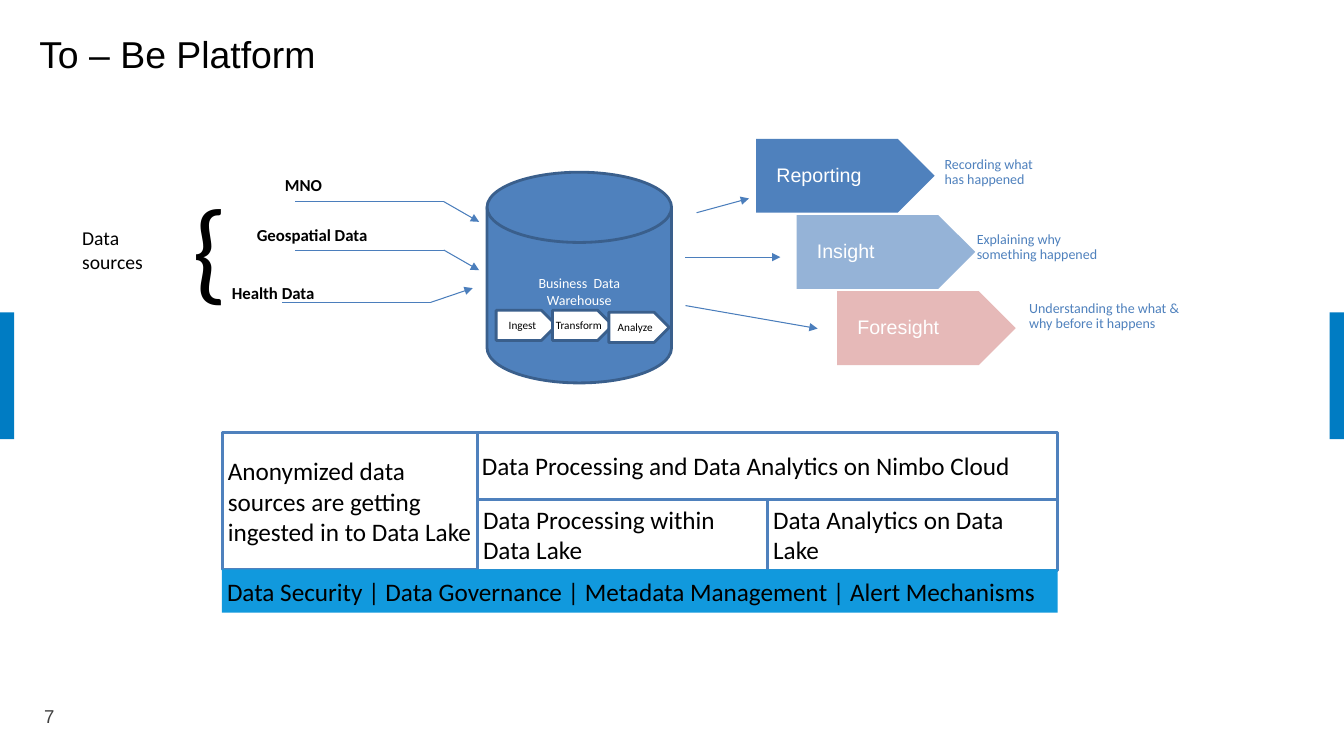
from dataclasses import dataclass

from lxml import etree
from pptx import Presentation
from pptx.dml.color import RGBColor
from pptx.enum.shapes import MSO_CONNECTOR, MSO_SHAPE
from pptx.enum.text import MSO_ANCHOR, PP_ALIGN
from pptx.oxml.ns import qn
from pptx.util import Cm, Pt

PENTAGON = MSO_SHAPE.PENTAGON
CYLINDER = MSO_SHAPE.FLOWCHART_MAGNETIC_DISK
RECTANGLE = MSO_SHAPE.RECTANGLE
STRAIGHT = MSO_CONNECTOR.STRAIGHT
TOP, MIDDLE, BOTTOM = MSO_ANCHOR.TOP, MSO_ANCHOR.MIDDLE, MSO_ANCHOR.BOTTOM
LEFT, CENTER = PP_ALIGN.LEFT, PP_ALIGN.CENTER


@dataclass(frozen=True)
class Theme:
    heading_font: str = "Arial"
    body_font: str = "Calibri"
    black: str = "000000"
    white: str = "FFFFFF"
    grey: str = "404040"
    blue: str = "4F81BD"
    light_blue: str = "95B3D7"
    pink: str = "E6B9B8"
    outline: str = "3A5F8C"
    arrow: str = "4B7EBC"
    side_bar: str = "007CC3"
    security: str = "1199DD"
    title_size: float = 26.7
    number_size: float = 13.3
    brace_size: float = 80
    tile_size: float = 18
    output_size: float = 14
    source_size: float = 12
    note_size: float = 10
    step_size: float = 8
    thick: float = 2
    thin: float = 0.75


THEME = Theme()
TILE_INSETS = (0.13,) * 4
OUTPUT_INSETS = (0.51, 0.41, 0.51, 0.41)

# label, label box, start of the flat line, tip of the arrow
SOURCES = [
    ("MNO", (6.93, 4.27, 2.18, 0.91), (7.44, 5.08), (12.07, 5.59)),
    ("Geospatial Data", (6.22, 5.54, 4.52, 0.91), (7.44, 6.3), (12.07, 6.81)),
    ("Health Data", (5.59, 6.99, 4.78, 0.91), (7.11, 7.62), (11.91, 7.26)),
]
FLAT_LENGTH = 3.74

# label, fill, note, note box, start and tip of the arrow
OUTPUTS = [
    ("Reporting", THEME.blue, "Recording what\vhas happened",
     (23.55, 3.84, 4.4, 1.22), (17.55, 5.36), (18.87, 5)),
    ("Insight", THEME.light_blue, "Explaining why\vsomething happened",
     (24.36, 5.74, 4.93, 1.22), (17.27, 6.48), (19.66, 6.48)),
    ("Foresight", THEME.pink, "Understanding the what & why before it happens",
     (25.68, 7.47, 4.4, 1.68), (17.27, 7.7), (20.6, 8.28)),
]

STEPS = [("Ingest", 7.82), ("Transform", 7.82), ("Analyze", 7.87)]

TILES = [
    ("Data Processing within Data Lake", (12.04, 12.57, 7.29, 1.8), TOP),
    ("Data Analytics on Data Lake", (19.35, 12.57, 7.29, 1.8), TOP),
    ("Data Processing and Data Analytics on Nimbo Cloud",
     (12.01, 10.9, 14.63, 1.68), MIDDLE),
    ("Anonymized data sources are getting ingested in to Data Lake",
     (5.61, 10.9, 6.43, 3.45), MIDDLE),
]


def rgb(color):
    return RGBColor.from_string(color)


def write(shape, text, size, color=THEME.black, font=THEME.body_font, bold=False,
          align=LEFT, anchor=TOP, spacing=None, insets=None, wrap=True):
    """Fill a shape with text; insets are left, top, right, bottom in cm."""
    frame = shape.text_frame
    frame.text = text
    frame.word_wrap = wrap
    frame.vertical_anchor = anchor
    if insets:
        (frame.margin_left, frame.margin_top,
         frame.margin_right, frame.margin_bottom) = map(Cm, insets)
    for paragraph in frame.paragraphs:
        paragraph.alignment = align
        paragraph.line_spacing = spacing
        for run in paragraph.runs:
            run.font.name = font
            run.font.size = Pt(size)
            run.font.bold = bold
            run.font.color.rgb = rgb(color)


def add_label(slide, box, text, size, **style):
    write(slide.shapes.add_textbox(*map(Cm, box)), text, size, **style)


def add_block(slide, kind, box, fill, line=None):
    block = slide.shapes.add_shape(kind, *map(Cm, box))
    block.shadow.inherit = False
    block.fill.solid()
    block.fill.fore_color.rgb = rgb(fill)
    if line:
        block.line.color.rgb = rgb(line)
        block.line.width = Pt(THEME.thick)
    else:
        block.line.fill.background()
    return block


def add_line(slide, start, end, arrow=False):
    line = slide.shapes.add_connector(STRAIGHT, *map(Cm, (*start, *end)))
    line.line.color.rgb = rgb(THEME.arrow)
    line.line.width = Pt(THEME.thin)
    properties = line._element.spPr
    if arrow:
        etree.SubElement(properties.find(qn("a:ln")), qn("a:tailEnd"), type="triangle")
    etree.SubElement(properties, qn("a:effectLst"))


def add_frame(slide):
    """Side bars, title and slide number."""
    for left in (0, 33.5):
        add_block(slide, RECTANGLE, (left, 7.87, 0.36, 3.2), THEME.side_bar)
    add_label(slide, (0.74, 0.65, 32.31, 1.68), "To – Be Platform",
              THEME.title_size, font=THEME.heading_font)
    add_label(slide, (0.86, 17.65, 1.73, 1.04), "7", THEME.number_size,
              font=THEME.heading_font, color=THEME.grey)


def add_sources(slide):
    add_label(slide, (1.82, 5.58, 3.02, 1.12), "Data sources", THEME.output_size)
    add_label(slide, (4.6, 4.37, 1.02, 4.37), "{", THEME.brace_size)
    for name, box, start, tip in SOURCES:
        bend = (start[0] + FLAT_LENGTH, start[1])
        add_line(slide, start, bend)
        add_line(slide, bend, tip, arrow=True)
        add_label(slide, box, name, THEME.source_size, bold=True)


def add_warehouse(slide):
    warehouse = add_block(slide, CYLINDER, (12.27, 4.34, 4.65, 5.31),
                          THEME.blue, THEME.outline)
    write(warehouse, "Business  Data\vWarehouse", THEME.note_size, color=THEME.white,
          align=CENTER, anchor=BOTTOM, insets=(0.25, 0.13, 0.25, 0.99))
    for index, (name, top) in enumerate(STEPS):
        step = add_block(slide, PENTAGON, (12.5 + 1.42 * index, top, 1.52, 0.76),
                         THEME.white, THEME.outline)
        write(step, name, THEME.step_size, align=CENTER, anchor=MIDDLE, wrap=False)


def add_outputs(slide):
    for index, (name, fill, note, note_box, start, tip) in enumerate(OUTPUTS):
        box = (19.05 + 1.02 * index, 3.5 + 1.92 * index, 4.5, 1.86)
        write(add_block(slide, PENTAGON, box, fill), name, THEME.output_size,
              color=THEME.white, font=THEME.heading_font, anchor=MIDDLE,
              spacing=0.9, insets=OUTPUT_INSETS)
        add_label(slide, note_box, note, THEME.note_size, color=THEME.blue, spacing=0.9)
        add_line(slide, start, tip, arrow=True)


def add_tiles(slide):
    for text, box, anchor in TILES:
        tile = add_block(slide, RECTANGLE, box, THEME.white, THEME.blue)
        write(tile, text, THEME.tile_size, anchor=anchor, insets=TILE_INSETS)
    security = add_block(slide, RECTANGLE, (5.59, 14.35, 21.06, 1.09), THEME.security)
    write(security,
          "Data Security | Data Governance | Metadata Management | Alert Mechanisms",
          THEME.tile_size, anchor=MIDDLE, insets=TILE_INSETS)


def main():
    deck = Presentation()
    deck.slide_width, deck.slide_height = Cm(33.86), Cm(19.05)
    slide = deck.slides.add_slide(deck.slide_layouts[6])
    add_frame(slide)
    add_sources(slide)
    add_warehouse(slide)
    add_outputs(slide)
    add_tiles(slide)
    deck.save("out.pptx")


if __name__ == "__main__":
    main()
